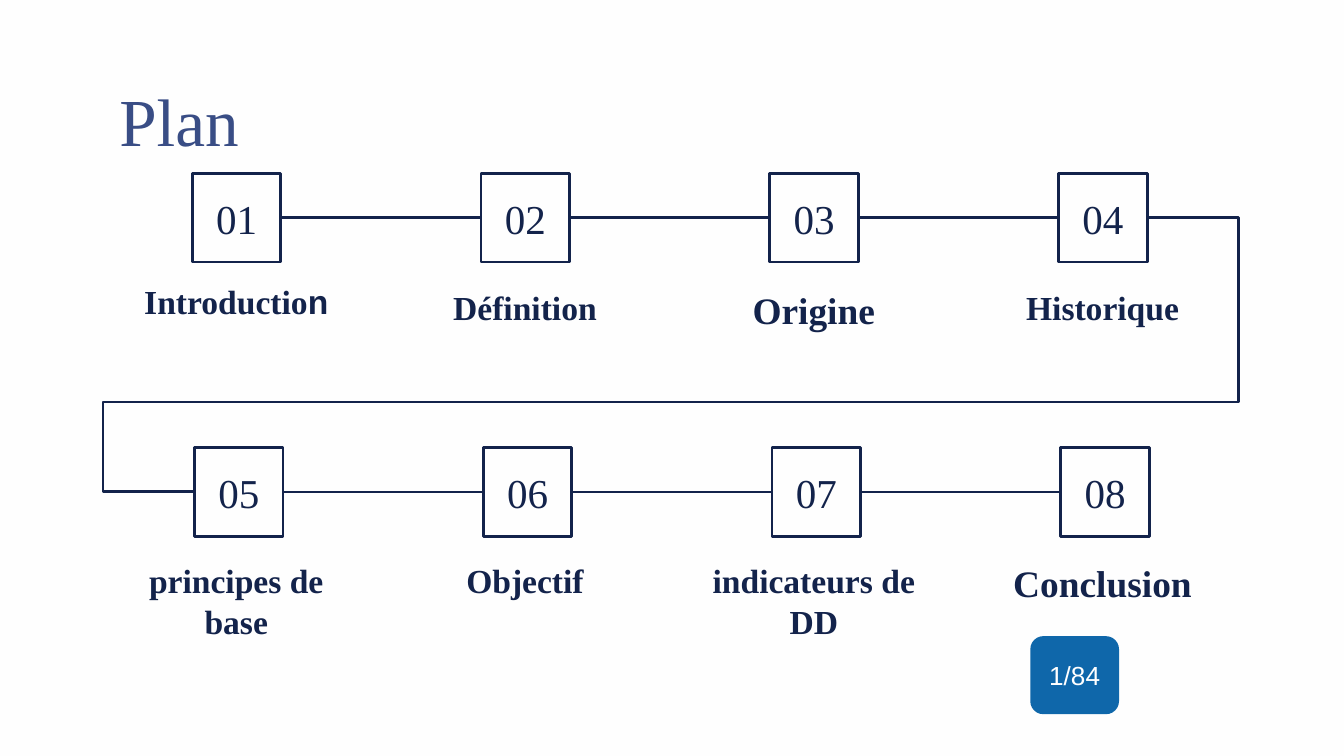
from lxml import etree
from pptx import Presentation
from pptx.dml.color import RGBColor
from pptx.enum.shapes import MSO_CONNECTOR, MSO_SHAPE
from pptx.enum.text import MSO_ANCHOR, PP_ALIGN
from pptx.oxml.ns import qn
from pptx.util import Pt

RECT, ROUNDED = MSO_SHAPE.RECTANGLE, MSO_SHAPE.ROUNDED_RECTANGLE
STRAIGHT, ELBOW = MSO_CONNECTOR.STRAIGHT, MSO_CONNECTOR.ELBOW
LEFT, CENTER = PP_ALIGN.LEFT, PP_ALIGN.CENTER
TOP, MIDDLE = MSO_ANCHOR.TOP, MSO_ANCHOR.MIDDLE
SERIF, SANS = "Times New Roman", "Arial"
NAVY, TITLE_BLUE, BADGE_BLUE = "13234B", "394D85", "0F67AA"

BOX, PITCH, LABEL_LEFT = 47.5, 154.7, 54.6
# Each row: left of first box, top of boxes, then (label runs, size, label top).
ROWS = [
    (103, 92.9, [
        ([("Introductio", SERIF), ("n", SANS)], 18, 143.3),
        ([("Définition", SERIF)], 18, 146.4),
        ([("Origine", SERIF)], 20, 146.9),
        ([("Historique", SERIF)], 18, 146.6),
    ]),
    (104.2, 239.8, [
        ([("principes de base", SERIF)], 18, 293),
        ([("Objectif", SERIF)], 18, 293),
        ([("indicateurs de DD", SERIF)], 18, 293),
        ([("Conclusion", SERIF)], 20, 293),
    ]),
]


def rgb(value):
    return RGBColor.from_string(value)


def write(shape, runs, size, color, bold=False, align=CENTER, anchor=TOP):
    """Fill a shape with one paragraph of (text, font name) runs."""
    frame = shape.text_frame
    frame.word_wrap = True
    frame.vertical_anchor = anchor
    frame.margin_left = frame.margin_right = Pt(7.2)
    frame.margin_top = frame.margin_bottom = Pt(7.2)
    paragraph = frame.paragraphs[0]
    paragraph.alignment = align
    for text, font_name in runs:
        run = paragraph.add_run()
        run.text = text
        run.font.name = font_name
        run.font.size = Pt(size)
        run.font.bold = bold
        run.font.color.rgb = rgb(color)


def add_text(slide, left, top, width, height, runs, **style):
    box = slide.shapes.add_textbox(Pt(left), Pt(top), Pt(width), Pt(height))
    write(box, runs, **style)


def add_box(slide, kind, left, top, width, height, runs, fill=None, line=None, **style):
    box = slide.shapes.add_shape(kind, Pt(left), Pt(top), Pt(width), Pt(height))
    box.shadow.inherit = False
    if fill:
        box.fill.solid()
        box.fill.fore_color.rgb = rgb(fill)
    else:
        box.fill.background()
    if line:
        box.line.color.rgb = rgb(line)
        box.line.width = Pt(1.5)
    else:
        box.line.fill.background()
    write(box, runs, anchor=MIDDLE, **style)


def add_link(slide, kind, x1, y1, x2, y2):
    link = slide.shapes.add_connector(kind, Pt(x1), Pt(y1), Pt(x2), Pt(y2))
    link.line.color.rgb = rgb(NAVY)
    link.line.width = Pt(1.5)
    etree.SubElement(link._element.spPr, qn("a:effectLst"))
    return link


def add_return_link(slide, x1, y1, x2, y2):
    """Lead from the end of the first row round to the start of the second."""
    link = add_link(slide, ELBOW, x1, y1, x2, y2)
    geometry = link._element.spPr.find(qn("a:prstGeom"))
    geometry.set("prst", "bentConnector5")
    guides = geometry.find(qn("a:avLst"))
    for number, value in enumerate((-9600, 67200, 109600), start=1):
        etree.SubElement(guides, qn("a:gd"), name=f"adj{number}", fmla=f"val {value}")


def add_row(slide, first_number, left, top, steps):
    for column, (label, size, label_top) in enumerate(steps):
        x = left + column * PITCH
        add_text(slide, LABEL_LEFT + column * PITCH, label_top, 144, 64, label,
                 size=size, color=NAVY, bold=True)
        add_box(slide, RECT, x, top, BOX, BOX,
                [(f"{first_number + column:02d}", SERIF)],
                line=NAVY, size=22, color=NAVY)
        if column:
            middle = top + BOX / 2
            add_link(slide, STRAIGHT, x - PITCH + BOX, middle, x, middle)


def main():
    deck = Presentation()
    deck.slide_width, deck.slide_height = Pt(720), Pt(405)
    slide = deck.slides.add_slide(deck.slide_layouts[6])
    slide.background.fill.solid()
    slide.background.fill.fore_color.rgb = rgb("FEFEFE")

    add_text(slide, 56.9, 35.3, 607, 45.4, [("Plan", SERIF)],
             size=36, color=TITLE_BLUE, align=LEFT)
    number = 1
    for left, top, steps in ROWS:
        add_row(slide, number, left, top, steps)
        number += len(steps)

    (left1, top1, steps1), (left2, top2, _) = ROWS
    row_end = left1 + (len(steps1) - 1) * PITCH + BOX
    add_return_link(slide, row_end, top1 + BOX / 2, left2, top2 + BOX / 2)
    add_box(slide, ROUNDED, 552, 340.8, 47.5, 41.8, [("1/84", SANS)],
            fill=BADGE_BLUE, size=14, color="FFFFFF")
    deck.save("out.pptx")


if __name__ == "__main__":
    main()
